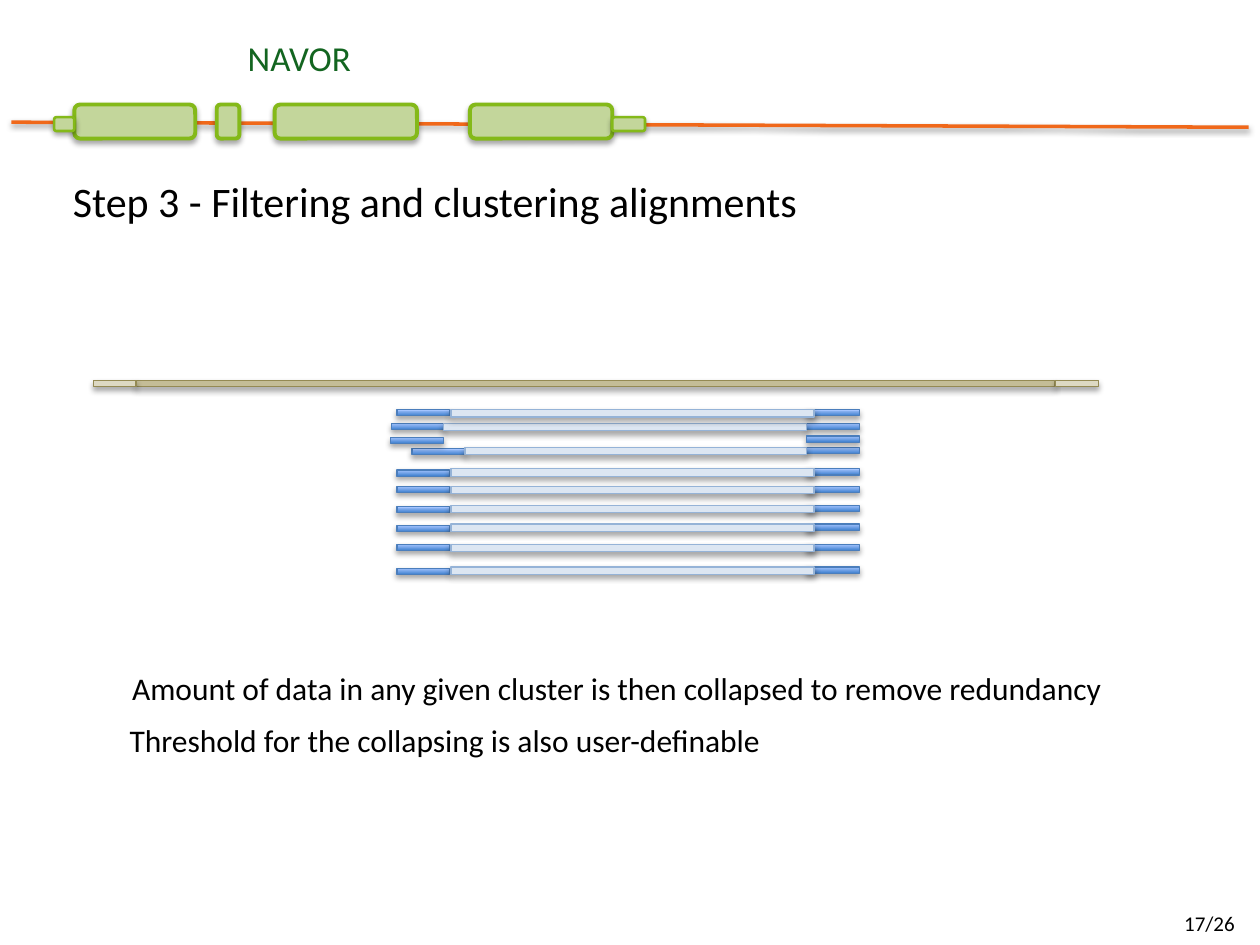
from lxml import etree
from pptx import Presentation
from pptx.dml.color import RGBColor
from pptx.enum.shapes import MSO_CONNECTOR, MSO_SHAPE
from pptx.enum.text import MSO_ANCHOR, PP_ALIGN
from pptx.oxml.ns import qn
from pptx.util import Inches, Pt

RECTANGLE, ROUNDED = MSO_SHAPE.RECTANGLE, MSO_SHAPE.ROUNDED_RECTANGLE
STRAIGHT = MSO_CONNECTOR.STRAIGHT
TOP = MSO_ANCHOR.TOP
LEFT, CENTER = PP_ALIGN.LEFT, PP_ALIGN.CENTER

COLORS = {
    "orange": "F0681A", "gene_fill": "C3D69B", "gene_line": "84B919",
    "genome": "C4BD97", "genome_end": "DDD9C3", "genome_line": "948A54",
    "intron": "DCE6F2", "intron_line": "95B3D7",
    "exon_dark": "3F80CE", "exon_light": "A4C4FF", "exon_line": "4B7EBC",
    "title": "136520", "black": "000000",
}
COLORS = {name: RGBColor.from_string(value) for name, value in COLORS.items()}

presentation = Presentation()
presentation.slide_width, presentation.slide_height = Inches(10), Inches(7.5)
slide = presentation.slides.add_slide(presentation.slide_layouts[6])

# Grid of 100 columns by 75 rows
CELL = presentation.slide_width / 100


def add_shadow(shape, opacity, distance):
    effects = etree.SubElement(shape._element.spPr, qn("a:effectLst"))
    shadow = etree.SubElement(effects, qn("a:outerShdw"), blurRad="40000",
                              dist=str(distance), dir="5400000", rotWithShape="0")
    color = etree.SubElement(shadow, qn("a:srgbClr"), val="000000")
    etree.SubElement(color, qn("a:alpha"), val=str(opacity * 1000))


def add_bar(kind, column, row, columns, rows, fill, line, width=0.75):
    shape = slide.shapes.add_shape(
        kind, *(round(n * CELL) for n in (column, row, columns, rows)))
    if fill == "exon":
        shape.fill.gradient()
        shape.fill.gradient_angle = 90
        for stop, name in zip(shape.fill.gradient_stops, ("exon_dark", "exon_light")):
            stop.color.rgb = COLORS[name]
    else:
        shape.fill.solid()
        shape.fill.fore_color.rgb = COLORS[fill]
    shape.line.color.rgb = COLORS[line]
    shape.line.width = Pt(width)
    add_shadow(shape, 35, 23000)


# Header: gene model on a line
header_line = slide.shapes.add_connector(
    STRAIGHT, *(round(n * CELL) for n in (0.9, 9.7, 99.1, 10.1)))
header_line.line.color.rgb = COLORS["orange"]
header_line.line.width = Pt(2)
add_shadow(header_line, 38, 20000)

for column, columns in ((5.9, 9.6), (17.2, 1.8), (21.8, 11.3), (37.3, 11.3)):
    add_bar(ROUNDED, column, 8.3, columns, 2.7, "gene_fill", "gene_line", 2.25)
for column, columns in ((48.6, 2.6), (4.3, 1.6)):
    add_bar(ROUNDED, column, 9.3, columns, 1.1, "gene_fill", "gene_line", 1.5)

# Genome with its two ends
for column, columns, fill in ((10.8, 72.9, "genome"), (83.8, 3.4, "genome_end"),
                              (7.4, 3.4, "genome_end")):
    add_bar(RECTANGLE, column, 30.2, columns, 0.5, fill, "genome_line")

# Alignments: left exon column and row, right exon row, intron start, end and row
EXON, RIGHT_EXON, INTRON_END = 4.2, 64, 64.6
alignments = [
    (32.7, 35.6, 35.5, 36.9, RIGHT_EXON, 35.5),
    (31.1, 33.6, 33.6, 35.2, RIGHT_EXON, 33.6),
    (31, 34.7, 34.6, None, None, None),
    (31.5, 32.5, 32.5, 35.8, INTRON_END, 32.5),
]
alignments += [(31.5, left_row, right_row, 35.8, INTRON_END, right_row)
               for left_row, right_row in ((37.3, 37.2), (38.6, 38.6), (40.2, 40.1),
                                           (41.7, 41.6), (43.2, 43.2), (45.1, 45))]
for left, left_row, right_row, start, end, intron_row in alignments:
    add_bar(RECTANGLE, left, left_row, EXON, 0.5, "exon", "exon_line")
    add_bar(RECTANGLE, RIGHT_EXON, right_row, EXON, 0.5, "exon", "exon_line")
    if start:
        add_bar(RECTANGLE, start, intron_row, end - start, 0.6, "intron", "intron_line")

# Texts: column, row, columns, rows, size, colour, alignment, wrapping
texts = [
    ("NAVOR", 5, 2.4, 37.5, 4.8, 20, "title", CENTER, True),
    ("Step 3 - Filtering and clustering alignments",
     4.8, 13.4, 60.2, 5, 24, "black", LEFT, False),
    ("Amount of data in any given cluster is then collapsed to remove redundancy",
     9.5, 52.6, 80.1, 4, 18, "black", LEFT, False),
    ("Threshold for the collapsing is also user-definable",
     9.3, 56.7, 54, 4, 18, "black", LEFT, False),
    ("17/26", 93, 71.8, 7, 3.2, 12, "black", LEFT, True),
]
for text, column, row, columns, rows, size, color, alignment, wrap in texts:
    box = slide.shapes.add_textbox(
        *(round(n * CELL) for n in (column, row, columns, rows)))
    box.text_frame.word_wrap = wrap
    box.text_frame.vertical_anchor = TOP
    paragraph = box.text_frame.paragraphs[0]
    paragraph.text = text
    paragraph.alignment = alignment
    paragraph.font.name = "Calibri"
    paragraph.font.size = Pt(size)
    paragraph.font.color.rgb = COLORS[color]

presentation.save("out.pptx")
